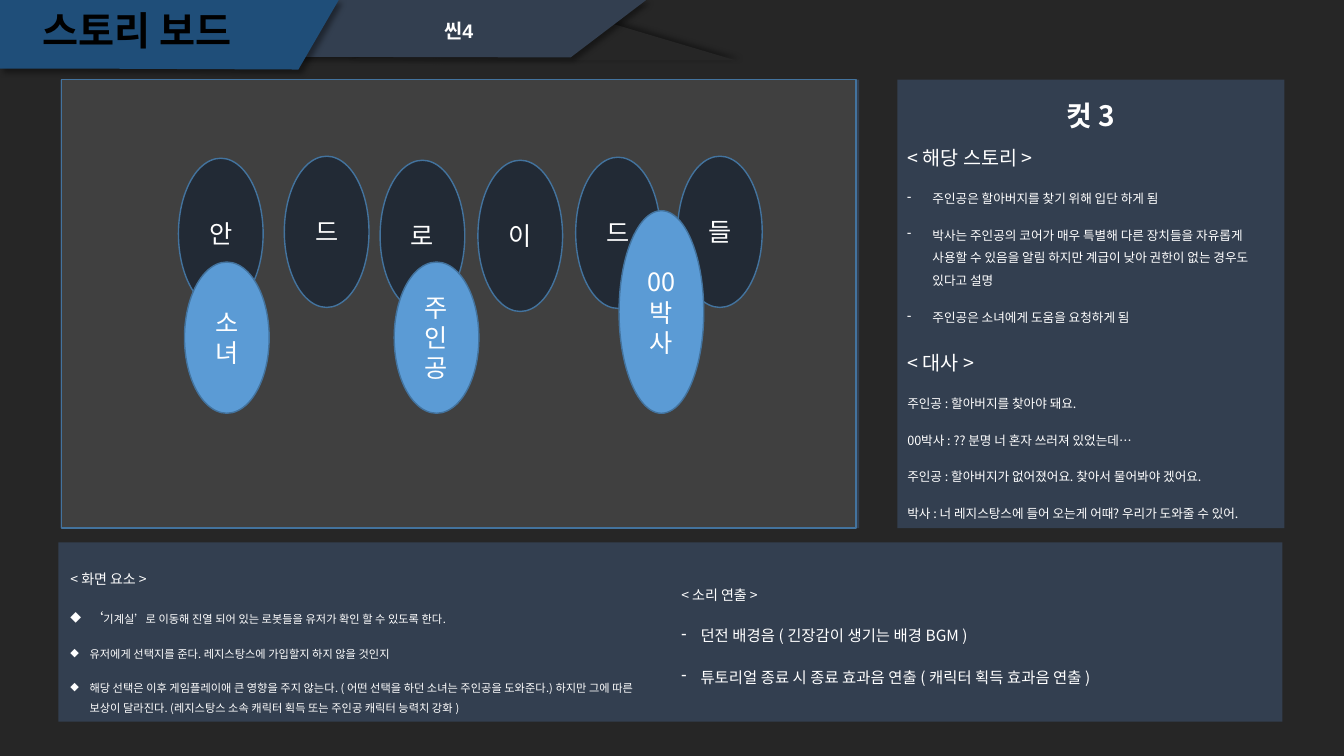
from dataclasses import dataclass

import pptx
import pptx.dml.color
import pptx.enum.shapes
import pptx.enum.text
import pptx.oxml.ns
import pptx.util
from lxml import etree

PX = 9144  # one px is a hundredth of an inch
COLORS = {
    "night": "262626", "slate": "333F50", "navy": "1F4E79", "screen": "404040",
    "robot": "222A35", "person": "5B9BD5", "edge": "43739E",
    "white": "FFFFFF", "black": "000000",
}
SANS = "Noto Sans CJK KR"
SHAPE = pptx.enum.shapes.MSO_SHAPE
ALIGN = pptx.enum.text.PP_ALIGN
ANCHOR = pptx.enum.text.MSO_ANCHOR


@dataclass
class Para:
    runs: list[tuple[str, int]]  # text and size in points
    bullet: str = ""
    indent: int = 0
    spacing: float = 1.5
    align: ALIGN = ALIGN.LEFT


@dataclass
class Block:
    box: tuple[int, int, int, int]
    paras: list[Para]
    font: str = SANS
    color: str = "white"
    bold: bool = False
    anchor: ANCHOR = ANCHOR.MIDDLE


@dataclass
class Figure:
    name: str
    x: int
    y: int
    height: int = 150
    fill: str = "robot"


def rgb(name: str) -> pptx.dml.color.RGBColor:
    return pptx.dml.color.RGBColor.from_string(COLORS[name])


def add_sub(parent, tag: str, **attrs):
    return etree.SubElement(parent, pptx.oxml.ns.qn(tag), **attrs)


def paint(sp, fill: str, edge: str = "", shadow: int | None = None) -> None:
    """Fill a shape; shadow is the direction of its shadow in degrees."""
    sp.shadow.inherit = False
    sp.fill.solid()
    sp.fill.fore_color.rgb = rgb(fill)
    if edge:
        sp.line.color.rgb = rgb(edge)
        sp.line.width = pptx.util.Pt(1)
    else:
        sp.line.fill.background()
    if shadow is not None:
        effects = sp._element.spPr.find(pptx.oxml.ns.qn("a:effectLst"))
        outer = add_sub(effects, "a:outerShdw", blurRad=str(pptx.util.Pt(4)),
                        dist=str(pptx.util.Pt(3)), dir=str(shadow * 60000),
                        algn="tl", rotWithShape="0")
        color = add_sub(outer, "a:srgbClr", val=COLORS["black"])
        add_sub(color, "a:alpha", val="40000")


def add_shape(s, kind: SHAPE, box: tuple[int, int, int, int], fill: str,
              edge: str = "", shadow: int | None = None):
    sp = s.shapes.add_shape(kind, *(v * PX for v in box))
    paint(sp, fill, edge, shadow)
    return sp


def add_banner(s, points: list[tuple[int, int]], fill: str) -> None:
    builder = s.shapes.build_freeform(*points[0], scale=PX)
    builder.add_line_segments(points[1:], close=True)
    paint(builder.convert_to_shape(), fill, shadow=45)


def write(tf, paras: list[Para], font: str = SANS, color: str = "white",
          bold: bool = False, anchor: ANCHOR = ANCHOR.MIDDLE) -> None:
    tf.word_wrap = True
    tf.vertical_anchor = anchor
    for i, para in enumerate(paras):
        p = tf.paragraphs[0] if i == 0 else tf.add_paragraph()
        if para.bullet:
            pPr = p._p.get_or_add_pPr()
            pPr.set("marL", str(para.indent * PX))
            pPr.set("indent", str(-para.indent * PX))
            add_sub(pPr, "a:buChar", char=para.bullet)
        layout = {"alignment": para.align, "line_spacing": para.spacing,
                  "space_before": pptx.util.Pt(10 if i else 0)}
        for key, value in layout.items():
            setattr(p, key, value)
        for text, size in para.runs:
            r = p.add_run()
            r.text = text
            style = {"name": font, "size": pptx.util.Pt(size), "bold": bold}
            for key, value in style.items():
                setattr(r.font, key, value)
            r.font.color.rgb = rgb(color)
            add_sub(r._r.get_or_add_rPr(), "a:ea", typeface=SANS)


def add_block(s, block: Block) -> None:
    tb = s.shapes.add_textbox(*(v * PX for v in block.box))
    write(tb.text_frame, block.paras, block.font, block.color, block.bold, block.anchor)


def add_figure(s, fig: Figure) -> None:
    sp = add_shape(s, SHAPE.OVAL, (fig.x, fig.y, 84, fig.height), fig.fill, "edge")
    write(sp.text_frame, [Para([(fig.name, 18)], spacing=1.0, align=ALIGN.CENTER)])


def heading(text: str, size: int, spacing: float = 1.5) -> list[Para]:
    return [Para([(text, size)], spacing=spacing, align=ALIGN.CENTER)]


def section(title: str, title_size: int, lines: list[str], size: int,
            bullet: str = "", indent: int = 0) -> list[Para]:
    return [Para([(title, title_size)])] + [
        Para([(line, size)], bullet, indent) for line in lines]


FIGURES = [
    Figure("로", 377, 159), Figure("드", 282, 155), Figure("안", 177, 157),
    Figure("들", 672, 155), Figure("이", 474, 159), Figure("드", 571, 156),
    Figure("주인공", 391, 260, fill="person"),
    Figure("소녀", 183, 260, fill="person"),
    Figure("00박사", 614, 209, 201, "person"),
]

DIALOGUE = section("< 대사 >", 14, [
    "주인공 : 할아버지를 찾아야 돼요.",
    "00박사 : ?? 분명 너 혼자 쓰러져 있었는데…",
    "주인공 : 할아버지가 없어졌어요. 찾아서 물어봐야 겠어요.",
    "박사 : 너 레지스탕스에 들어 오는게 어때? 우리가 도와줄 수 있어.",
], 9)
STORY = section("< 해당 스토리 >", 14, [
    "주인공은 할아버지를 찾기 위해 입단 하게 됨",
    "박사는 주인공의 코어가 매우 특별해 다른 장치들을 자유롭게 사용할 수 있음을 알림 "
    "하지만 계급이 낮아 권한이 없는 경우도 있다고 설명",
    "주인공은 소녀에게 도움을 요청하게 됨",
], 9, "-", 25)
SCREEN = section("< 화면 요소 >", 10, [
    "기계실’로 이동해 진열 되어 있는 로봇들을 유저가 확인 할 수 있도록 한다.",
    "유저에게 선택지를 준다. 레지스탕스에 가입할지 하지 않을 것인지",
    "해당 선택은 이후 게임플레이애 큰 영향을 주지 않는다. ( 어떤 선택을 하던 소녀는 "
    "주인공을 도와준다.) 하지만 그에 따른 보상이 달라진다. "
    "(레지스탕스 소속 캐릭터 획득 또는 주인공 캐릭터 능력치 강화 )",
], 8, "◆", 19)
SCREEN[1].runs.insert(0, ("‘", 10))
SOUND = section("< 소리 연출 >", 10, [
    "던전 배경음 ( 긴장감이 생기는 배경 BGM )",
    "튜토리얼 종료 시 종료 효과음 연출 ( 캐릭터 획득 효과음 연출 )",
], 11, "-", 19)

BLOCKS = [
    Block((405, 16, 100, 32), heading("씬4", 14, 0.9), "Arial", bold=True,
          anchor=ANCHOR.TOP),
    Block((3, 6, 266, 53), heading("스토리 보드", 28, 0.9), "Arial", "black", True),
    Block((890, 79, 383, 54), heading("컷 3", 20), bold=True),
    Block((890, 329, 385, 195), DIALOGUE),
    Block((890, 130, 384, 195), STORY),
    Block((60, 538, 606, 191), SCREEN),
    Block((666, 538, 606, 178), SOUND),
]


def main() -> None:
    prs = pptx.Presentation()
    prs.slide_width, prs.slide_height = 1333 * PX, 750 * PX
    s = prs.slides.add_slide(prs.slide_layouts[6])
    s.background.fill.solid()
    s.background.fill.fore_color.rgb = rgb("night")

    # Header banners
    add_shape(s, SHAPE.ISOSCELES_TRIANGLE, (346, 3, 384, 57), "night", shadow=315)
    add_banner(s, [(5, 0), (641, 0), (566, 57), (138, 56), (5, 56)], "slate")
    add_banner(s, [(0, 0), (336, 0), (296, 69), (70, 68), (0, 68)], "navy")

    # Panels and the scene frame
    for box in [(60, 79, 792, 445), (890, 79, 384, 445), (58, 538, 1214, 178)]:
        add_shape(s, SHAPE.RECTANGLE, box, "slate")
    add_shape(s, SHAPE.RECTANGLE, (61, 79, 788, 445), "screen", "edge")

    # Characters, then the texts
    for fig in FIGURES:
        add_figure(s, fig)
    for block in BLOCKS:
        add_block(s, block)
    prs.save("out.pptx")


if __name__ == "__main__":
    main()
